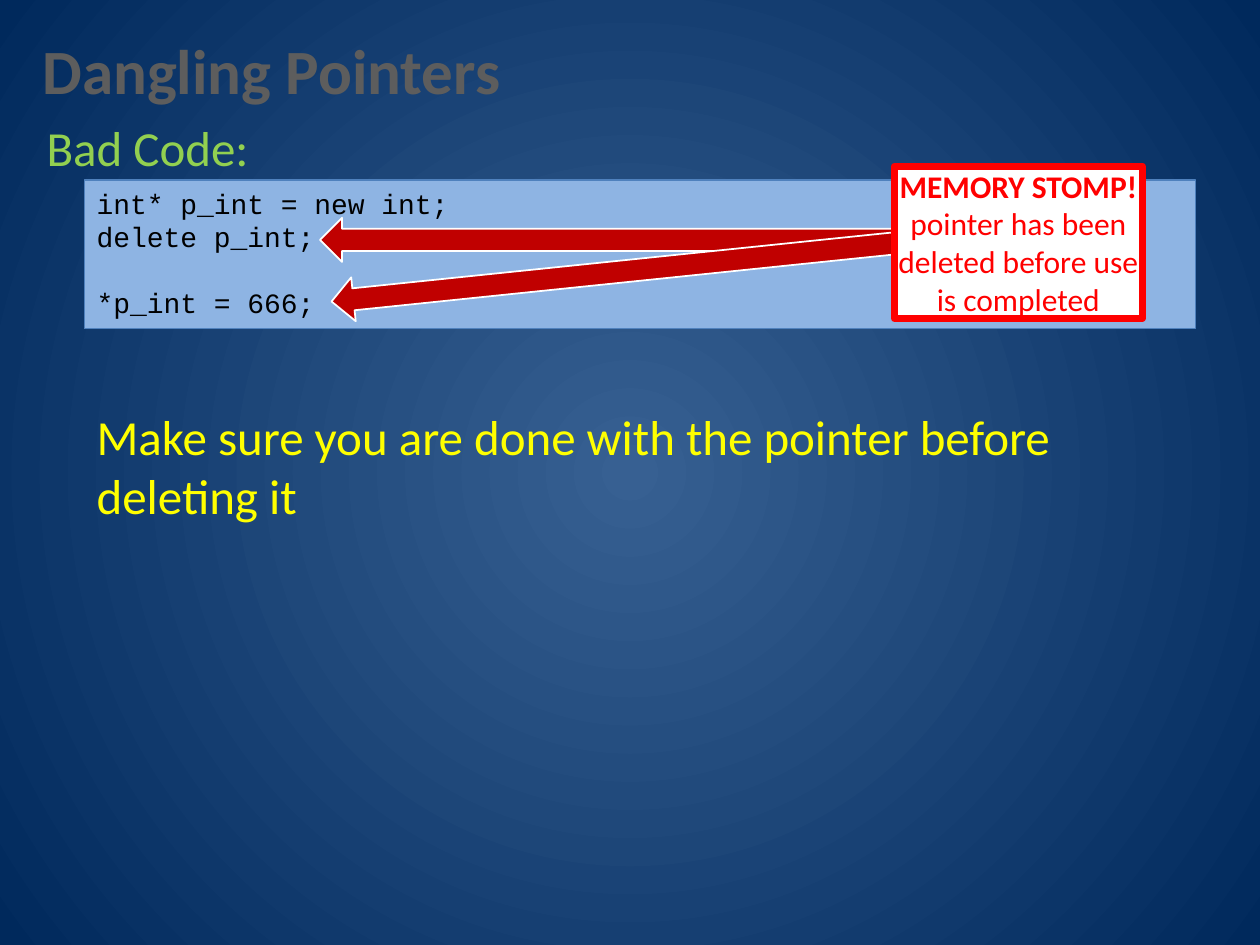
import pptx
import pptx.dml.color
import pptx.enum.shapes
import pptx.enum.text
import pptx.oxml
import pptx.oxml.ns
import pptx.util
from pptx.util import Cm, Pt

SHAPES = pptx.enum.shapes.MSO_SHAPE
ANCHORS = pptx.enum.text.MSO_ANCHOR
ALIGNS = pptx.enum.text.PP_ALIGN

CODE_LINES = [
    ("int* p_int = new int;", 0),
    ("delete p_int;", 0),
    ("*p_int = 666;", 18.1),
]
CALLOUT_LINES = [
    ("MEMORY STOMP!", True),
    ("pointer has been deleted before use is completed", False),
]
LABELS = [
    ("Dangling Pointers", (0.61, 0.51, 9.86, 1.8), 36, "5D5D5D", True, False),
    ("Bad Code:", (0.69, 2.24, 4.65, 1.45), 28, "92D050", False, True),
    ("Make sure you are done with the pointer before deleting it",
     (1.7, 8.08, 22.81, 2.64), 28, "FFFF00", False, True),
]
ARROWS = [(6.45, 4.39, 180), (6.65, 5.0, 174.1)]
ARROW_SIZE = (12.32, 0.89)
BACKGROUND = ["376092", "00295C"]


def color(code):
    return pptx.dml.color.RGBColor.from_string(code)


def add_shape(page, kind, place, fill, line, width):
    shape = page.shapes.add_shape(kind, *map(Cm, place))
    shape.shadow.inherit = False
    shape.fill.solid()
    shape.fill.fore_color.rgb = color(fill)
    shape.line.color.rgb = color(line)
    shape.line.width = Pt(width)
    return shape


def add_line(frame, index, text, size, font, ink, bold=False,
             align=ALIGNS.LEFT, before=0):
    para = frame.add_paragraph() if index else frame.paragraphs[0]
    para.alignment = align
    if before:
        para.space_before = Pt(before)
    span = para.add_run()
    span.text = text
    span.font.size = Pt(size)
    span.font.name = font
    span.font.bold = bold
    span.font.color.rgb = color(ink)


def paint_background(page):
    fill = page.background.fill
    fill.gradient()
    for stop, code in zip(fill.gradient_stops, BACKGROUND):
        stop.color.rgb = color(code)
    qn = pptx.oxml.ns.qn
    gradient = page.element.find(".//" + qn("a:gradFill"))
    circle = pptx.oxml.parse_xml(
        f'<a:path {pptx.oxml.ns.nsdecls("a")} path="circle">'
        '<a:fillToRect l="50000" t="50000" r="50000" b="50000"/></a:path>')
    gradient.replace(gradient.find(qn("a:lin")), circle)


def add_code(page):
    box = add_shape(page, SHAPES.RECTANGLE, (1.7, 3.63, 22.4, 3), "8EB4E3", "4F81BD", 0.75)
    frame = box.text_frame
    frame.word_wrap = True
    frame.vertical_anchor = ANCHORS.TOP
    for index, (text, before) in enumerate(CODE_LINES):
        add_line(frame, index, text, 16, "Courier New", "000000", before=before)


def add_arrow(page, left, top, rotation):
    arrow = add_shape(page, SHAPES.RIGHT_ARROW, (left, top, *ARROW_SIZE), "C00000", "FFFFFF", 1)
    arrow.rotation = rotation


def add_label(page, text, place, size, ink, bold, wrap):
    frame = page.shapes.add_textbox(*map(Cm, place)).text_frame
    frame.word_wrap = wrap
    add_line(frame, 0, text, size, "Calibri", ink, bold)


def add_callout(page):
    box = add_shape(page, SHAPES.RECTANGLE, (18.03, 3.35, 5, 3.07), "FFFFFF", "FF0000", 4)
    frame = box.text_frame
    frame.word_wrap = True
    frame.vertical_anchor = ANCHORS.MIDDLE
    frame.margin_left = frame.margin_right = frame.margin_top = frame.margin_bottom = 0
    for index, (text, bold) in enumerate(CALLOUT_LINES):
        add_line(frame, index, text, 18, "Calibri", "FF0000", bold, ALIGNS.CENTER)


def main():
    deck = pptx.Presentation()
    deck.slide_width, deck.slide_height = Cm(25.4), Cm(19.05)
    page = deck.slides.add_slide(deck.slide_layouts[6])
    paint_background(page)
    add_code(page)
    add_arrow(page, *ARROWS[0])
    for label in LABELS:
        add_label(page, *label)
    add_arrow(page, *ARROWS[1])
    add_callout(page)
    deck.save("out.pptx")


if __name__ == "__main__":
    main()
